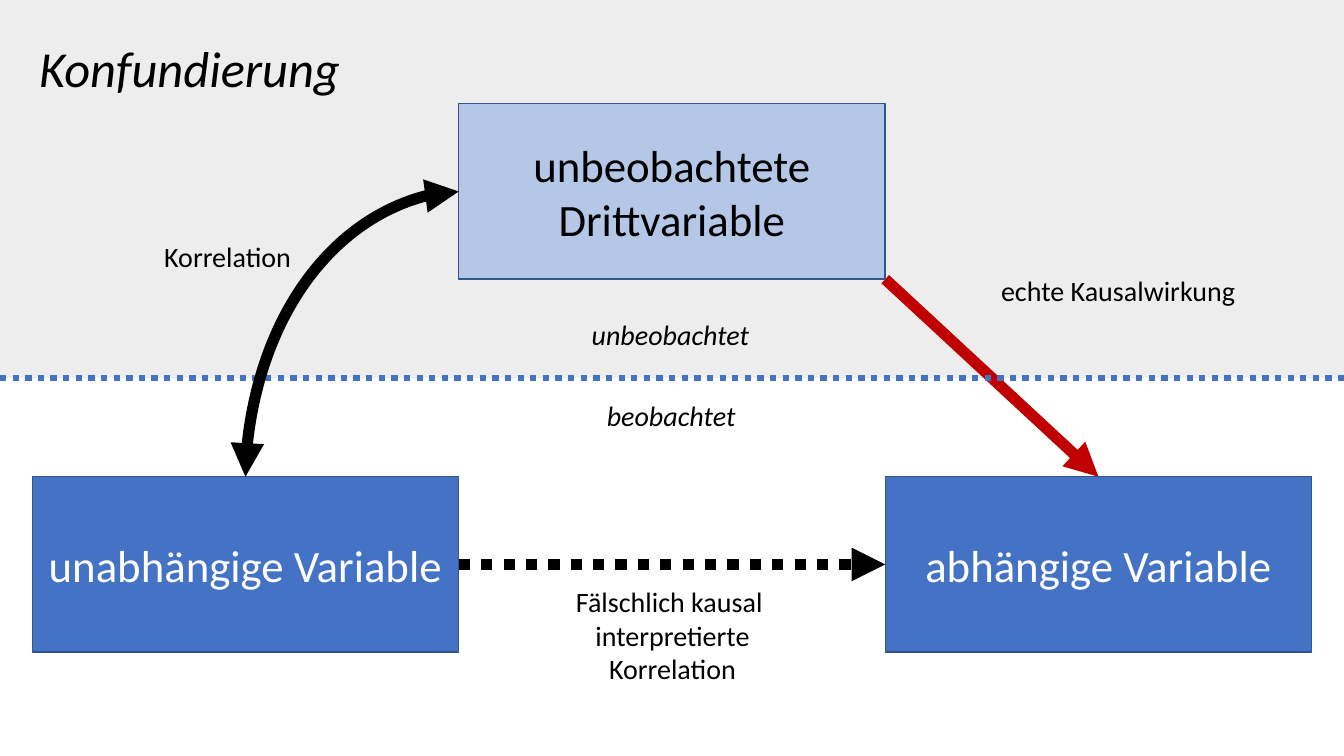
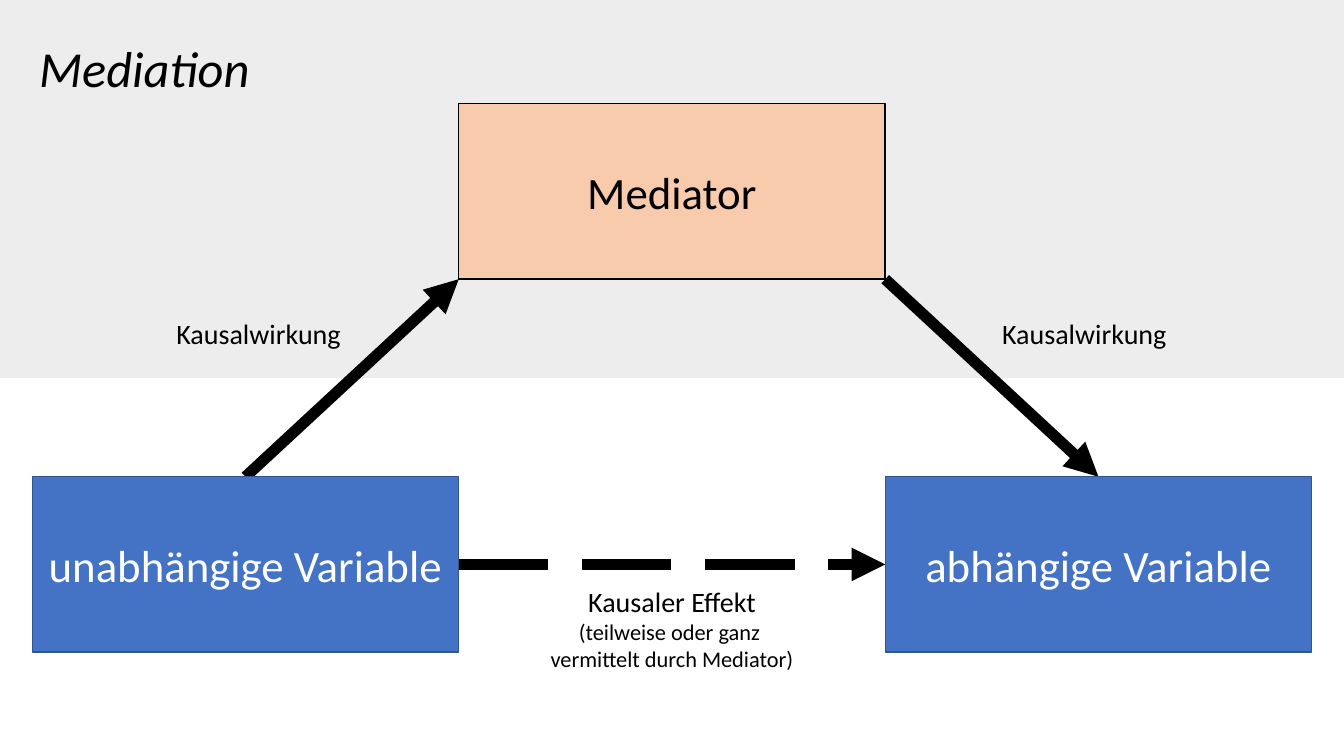
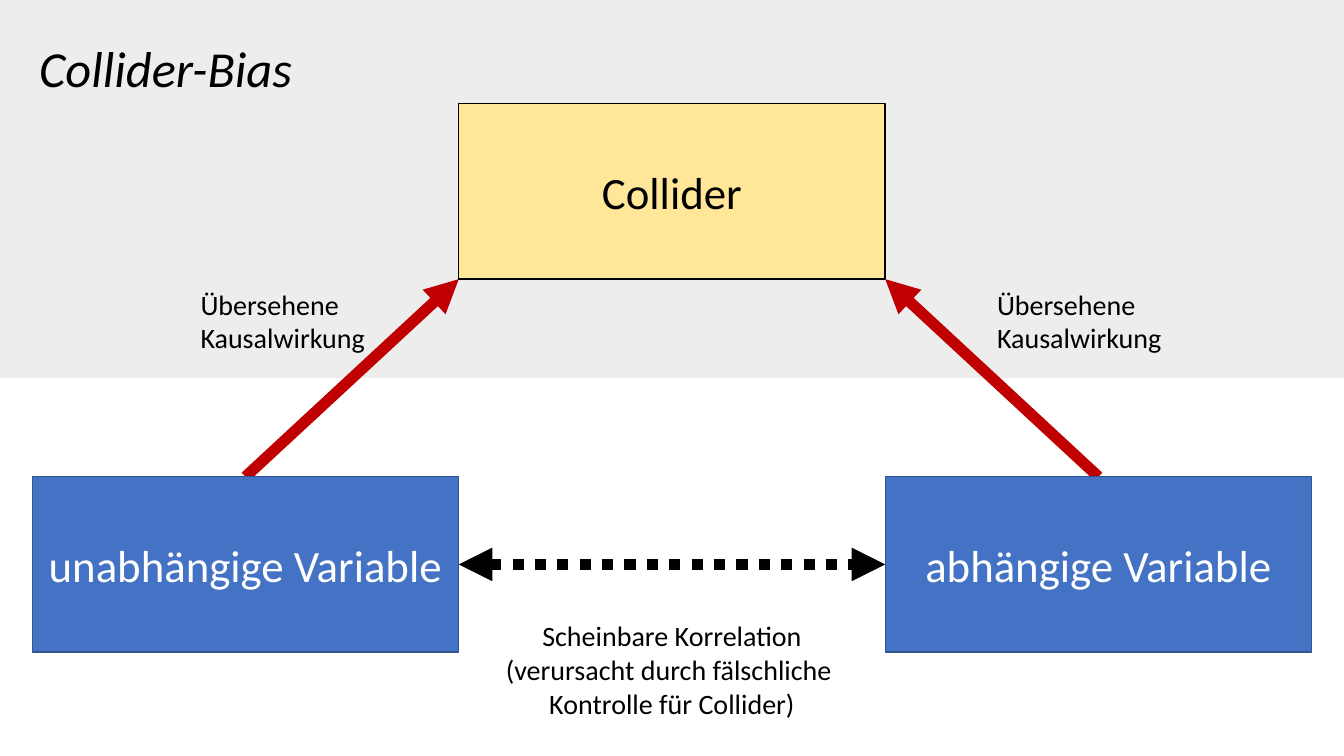
from dataclasses import dataclass
from lxml.etree import SubElement
from pptx import Presentation
from pptx.dml.color import RGBColor
from pptx.enum.dml import MSO_LINE
from pptx.enum.shapes import MSO_CONNECTOR, MSO_SHAPE
from pptx.enum.text import MSO_ANCHOR, MSO_AUTO_SIZE, PP_ALIGN
from pptx.oxml.ns import qn
from pptx.util import Inches, Pt


@dataclass(frozen=True)
class Theme:
    font: str = "Calibri"
    band: str = "EDEDED"
    blue: str = "4472C4"
    edge: str = "325491"
    pale: str = "B4C7E7"
    peach: str = "F8CBAD"
    yellow: str = "FFE699"
    red: str = "C00000"
    black: str = "000000"
    white: str = "FFFFFF"
    title: int = 36
    node: int = 32
    label: int = 20
    detail: int = 16
    arrow: float = 8
    divider: float = 4.5
    border: float = 1


theme = Theme()
WIDTH, HEIGHT = 13.33, 7.5
MARGIN, COLUMN, ROW = 0.32, 4.23, 1.74
TOP, BOTTOM = 1.03, 4.73
columns = [MARGIN + COLUMN * index for index in range(4)]
left_peak = (columns[1], TOP + ROW)
right_peak = (columns[2], TOP + ROW)
left_base = (columns[0] + COLUMN / 2, BOTTOM)
right_base = (columns[2] + COLUMN / 2, BOTTOM)
middle = BOTTOM + ROW / 2
SITE_TOP, SITE_LEFT, SITE_RIGHT = 0, 1, 3


def write(frame, lines, color, italic=False, align=PP_ALIGN.LEFT):
    for index, (words, size) in enumerate(lines):
        para = frame.paragraphs[0] if index == 0 else frame.add_paragraph()
        para.alignment = align
        span = para.add_run()
        span.text = words
        span.font.name = theme.font
        span.font.size = Pt(size)
        span.font.italic = italic
        span.font.color.rgb = RGBColor.from_string(color)


def draw_line(page, start, end, color, width, dash=None, heads=(), kind=MSO_CONNECTOR.STRAIGHT):
    line = page.shapes.add_connector(kind, *[Inches(value) for value in (*start, *end)])
    line.line.color.rgb = RGBColor.from_string(color)
    line.line.width = Pt(width)
    if dash is not None:
        line.line.dash_style = dash
    for head in heads:
        SubElement(line.line._get_or_add_ln(), qn(f"a:{head}")).set("type", "triangle")
    SubElement(line._element.spPr, qn("a:effectLst"))
    return line


ONE_WAY = ("tailEnd",)
BOTH_WAYS = ("headEnd", "tailEnd")
CENTER, LEFT = PP_ALIGN.CENTER, PP_ALIGN.LEFT

diagrams = [
    {
        "title": ("Konfundierung", 3.22),
        "peak": (["unbeobachtete", "Drittvariable"], theme.pale, theme.edge),
        "causes": [(right_peak, right_base, theme.red)],
        "effect": (MSO_LINE.ROUND_DOT, ONE_WAY),
        "confounded": True,
        "labels": [
            (1.53, 2.33, 1.47, [("Korrelation", theme.label)], LEFT, False),
            (5.6, 5.75, 2.14, [("Fälschlich kausal ", theme.label), ("interpretierte", theme.label),
                               ("Korrelation", theme.label)], CENTER, False),
            (9.83, 2.66, 2.55, [("echte Kausalwirkung", theme.label)], LEFT, False),
            (5.77, 3.1, 1.8, [("unbeobachtet", theme.label)], LEFT, True),
            (5.92, 3.9, 1.49, [("beobachtet", theme.label)], LEFT, True),
        ],
    },
    {
        "title": ("Mediation", 2.31),
        "peak": (["Mediator"], theme.peach, theme.black),
        "causes": [(left_base, left_peak, theme.black), (right_peak, right_base, theme.black)],
        "effect": (MSO_LINE.LONG_DASH, ONE_WAY),
        "confounded": False,
        "labels": [
            (5.34, 5.75, 2.65, [("Kausaler Effekt", theme.label), ("(teilweise oder ganz ", theme.detail),
                                ("vermittelt durch Mediator)", theme.detail)], CENTER, False),
            (9.84, 3.09, 1.85, [("Kausalwirkung", theme.label)], LEFT, False),
            (1.65, 3.09, 1.85, [("Kausalwirkung", theme.label)], LEFT, False),
        ],
    },
    {
        "title": ("Collider-Bias", 2.74),
        "peak": (["Collider"], theme.yellow, theme.black),
        "causes": [(left_base, left_peak, theme.red), (right_base, right_peak, theme.red)],
        "effect": (MSO_LINE.ROUND_DOT, BOTH_WAYS),
        "confounded": False,
        "labels": [
            (4.9, 6.09, 3.53, [("Scheinbare Korrelation", theme.label),
                               ("(verursacht durch fälschliche ", theme.label),
                               ("Kontrolle für Collider)", theme.label)], CENTER, False),
        ] + [
            (left, 2.8, 1.85, [("Übersehene", theme.label), ("Kausalwirkung", theme.label)], LEFT, False)
            for left in (1.89, 9.79)
        ],
    },
]

deck = Presentation()
deck.slide_width, deck.slide_height = Inches(WIDTH), Inches(HEIGHT)

for diagram in diagrams:
    page = deck.slides.add_slide(deck.slide_layouts[6])
    band = page.shapes.add_shape(MSO_SHAPE.RECTANGLE, 0, 0, Inches(WIDTH), Inches(HEIGHT / 2))
    band.shadow.inherit = False
    band.fill.solid()
    band.fill.fore_color.rgb = RGBColor.from_string(theme.band)
    band.line.fill.background()

    for start, end, color in diagram["causes"]:
        draw_line(page, start, end, color, theme.arrow, heads=ONE_WAY)

    peak_lines, peak_fill, peak_edge = diagram["peak"]
    nodes = []
    for left, top, lines, fill, edge, color in [
        (columns[0], BOTTOM, ["unabhängige Variable"], theme.blue, theme.edge, theme.white),
        (columns[1], TOP, peak_lines, peak_fill, peak_edge, theme.black),
        (columns[2], BOTTOM, ["abhängige Variable"], theme.blue, theme.edge, theme.white),
    ]:
        node = page.shapes.add_shape(
            MSO_SHAPE.RECTANGLE, Inches(left), Inches(top), Inches(COLUMN), Inches(ROW))
        node.shadow.inherit = False
        node.fill.solid()
        node.fill.fore_color.rgb = RGBColor.from_string(fill)
        node.line.color.rgb = RGBColor.from_string(edge)
        node.line.width = Pt(theme.border)
        node.text_frame.word_wrap = True
        node.text_frame.vertical_anchor = MSO_ANCHOR.MIDDLE
        write(node.text_frame, [(words, theme.node) for words in lines], color, align=CENTER)
        nodes.append(node)
    independent, peak, dependent = nodes

    if diagram["confounded"]:
        draw_line(page, (0, HEIGHT / 2), (WIDTH, HEIGHT / 2), theme.blue, theme.divider, MSO_LINE.ROUND_DOT)
        correlation = draw_line(page, (columns[1], TOP + ROW / 2), left_base, theme.black, theme.arrow,
                                heads=BOTH_WAYS, kind=MSO_CONNECTOR.CURVE)
        correlation._element.spPr.find(qn("a:prstGeom")).set("prst", "curvedConnector2")
        correlation.begin_connect(peak, SITE_LEFT)
        correlation.end_connect(independent, SITE_TOP)

    dash, heads = diagram["effect"]
    effect = draw_line(page, (columns[1], middle), (columns[2], middle), theme.black, theme.arrow, dash, heads)
    effect.begin_connect(independent, SITE_RIGHT)
    effect.end_connect(dependent, SITE_LEFT)

    title, title_width = diagram["title"]
    heading = (0.29, 0.32, title_width, [(title, theme.title)], LEFT, True)
    for left, top, width, lines, align, italic in diagram["labels"] + [heading]:
        height = 0.1 + sum(size for words, size in lines) * 1.2 / 72
        box = page.shapes.add_textbox(Inches(left), Inches(top), Inches(width), Inches(height))
        box.text_frame.word_wrap = False
        box.text_frame.auto_size = MSO_AUTO_SIZE.SHAPE_TO_FIT_TEXT
        write(box.text_frame, lines, theme.black, italic, align)

deck.save("out.pptx")
